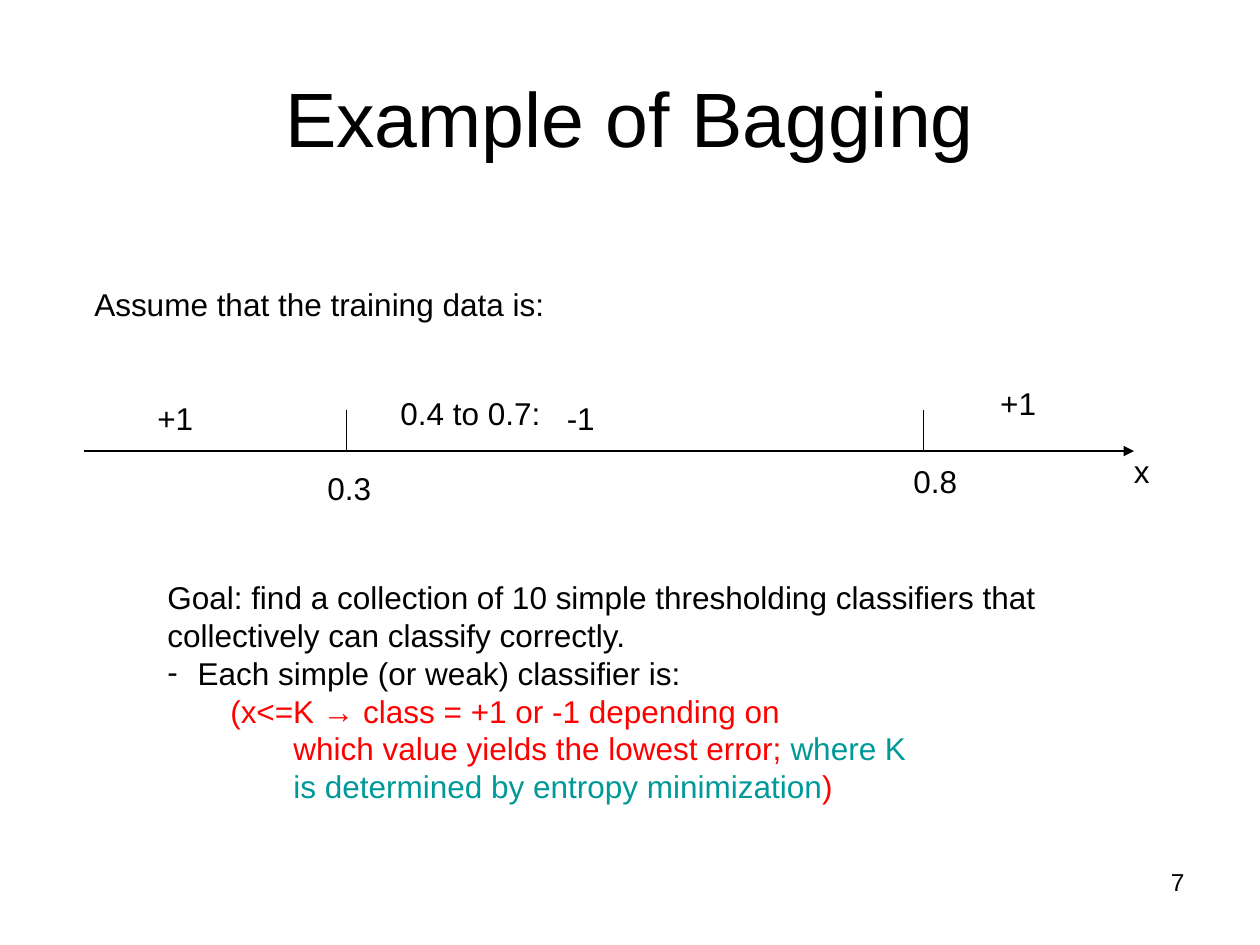
from dataclasses import dataclass

import pptx
import pptx.dml.color
import pptx.enum.shapes
import pptx.enum.text
import pptx.oxml.ns
import pptx.util
from lxml import etree

Inches = pptx.util.Inches
ALIGN = pptx.enum.text.PP_ALIGN
BLACK, RED, TEAL = "000000", "FF0000", "009999"
AXIS_Y = 3.58


@dataclass
class Label:
    text: str
    left: float
    top: float
    width: float


@dataclass
class Line:
    start: tuple[float, float]
    end: tuple[float, float]
    arrow: bool = False


LABELS = [
    Label("0.3", 2.5, 3.67, 0.55),
    Label("0.8", 7.15, 3.62, 0.55),
    Label("x", 8.9, 3.54, 0.32),
    Label("+1", 1.15, 3.12, 0.5),
    Label("+1", 7.84, 3, 0.5),
    Label("-1", 4.4, 3.12, 0.43),
    Label("Assume that the training data is:", 0.65, 2.21, 3.78),
    Label("0.4 to 0.7:", 3.08, 3.08, 1.32),
]
LINES = [Line((0.67, AXIS_Y), (9, AXIS_Y), arrow=True)] + [
    Line((x, 3.25), (x, AXIS_Y)) for x in (2.75, 7.33)
]


def rgb(color: str) -> pptx.dml.color.RGBColor:
    return pptx.dml.color.RGBColor.from_string(color)


def add_xml(parent, tag: str, **attributes: str):
    return etree.SubElement(parent, pptx.oxml.ns.qn(tag), attributes)


def write(paragraph, text: str, *, size: float = 18, color: str = BLACK, align=None) -> None:
    """Append text to the paragraph, turning newlines into line breaks."""
    if align is not None:
        paragraph.alignment = align
    for number, piece in enumerate(text.split("\n")):
        if number:
            paragraph.add_line_break()
        run = paragraph.add_run()
        run.text = piece
        run.font.name = "Arial"
        run.font.size = pptx.util.Pt(size)
        run.font.color.rgb = rgb(color)


def add_box(slide, left: float, top: float, width: float, height: float, wrap: bool = False):
    frame = slide.shapes.add_textbox(
        Inches(left), Inches(top), Inches(width), Inches(height)
    ).text_frame
    frame.word_wrap = wrap
    if not wrap:
        frame.auto_size = pptx.enum.text.MSO_AUTO_SIZE.SHAPE_TO_FIT_TEXT
    return frame


def add_line(slide, line: Line) -> None:
    connector = slide.shapes.add_connector(
        pptx.enum.shapes.MSO_CONNECTOR.STRAIGHT,
        *(Inches(value) for value in line.start + line.end),
    )
    connector.line.color.rgb = rgb(BLACK)
    connector.line.width = pptx.util.Pt(0.75)
    if line.arrow:
        add_xml(connector.line._get_or_add_ln(), "a:tailEnd", type="triangle")
    add_xml(connector._element.spPr, "a:effectLst")


def indent(paragraph, left: float, first: float = 0):
    properties = paragraph._p.get_or_add_pPr()
    properties.set("marL", str(Inches(left)))
    properties.set("indent", str(Inches(first)))
    return properties


def add_goal(slide) -> None:
    frame = add_box(slide, 1.23, 4.54, 7.16, 1.9)
    goal = frame.paragraphs[0]
    write(goal, "Goal: find a collection of 10 simple thresholding classifiers that \n"
                "collectively can classify correctly.")

    classifier = frame.add_paragraph()
    bullet = indent(classifier, 0.24, -0.24)
    add_xml(add_xml(bullet, "a:buClr"), "a:srgbClr", val=BLACK)
    add_xml(bullet, "a:buFont", typeface="Arial")
    add_xml(bullet, "a:buChar", char="-")
    write(classifier, "Each simple (or weak) classifier is:")

    rule = frame.add_paragraph()
    rule.level = 1
    indent(rule, 0.5)
    write(rule, "(x<=K → class = +1 or -1 depending on", color=RED)

    choice = frame.add_paragraph()
    choice.level = 1
    tabs = add_xml(indent(choice, 0.5), "a:tabLst")
    add_xml(tabs, "a:tab", pos=str(Inches(1.5)), algn="l")
    write(choice, "\twhich value yields the lowest error; ", color=RED)
    write(choice, "where K\n\tis determined by entropy minimization", color=TEAL)
    write(choice, ")", color=RED)


def main() -> None:
    deck = pptx.Presentation()
    deck.slide_width, deck.slide_height = Inches(10), Inches(7.5)
    slide = deck.slides.add_slide(deck.slide_layouts[5])

    title = slide.shapes.title
    title.left, title.top = Inches(0.5), Inches(0.3)
    title.width, title.height = Inches(9), Inches(1.25)
    title.text_frame.vertical_anchor = pptx.enum.text.MSO_ANCHOR.MIDDLE
    write(title.text_frame.paragraphs[0], "Example of Bagging", size=44, align=ALIGN.CENTER)

    for line in LINES:
        add_line(slide, line)
    for label in LABELS:
        frame = add_box(slide, label.left, label.top, label.width, 0.4)
        write(frame.paragraphs[0], label.text)
    add_goal(slide)

    page = add_box(slide, 7.17, 6.83, 2.33, 0.52, wrap=True)
    write(page.paragraphs[0], "7", size=14, align=ALIGN.RIGHT)
    deck.save("out.pptx")


if __name__ == "__main__":
    main()
